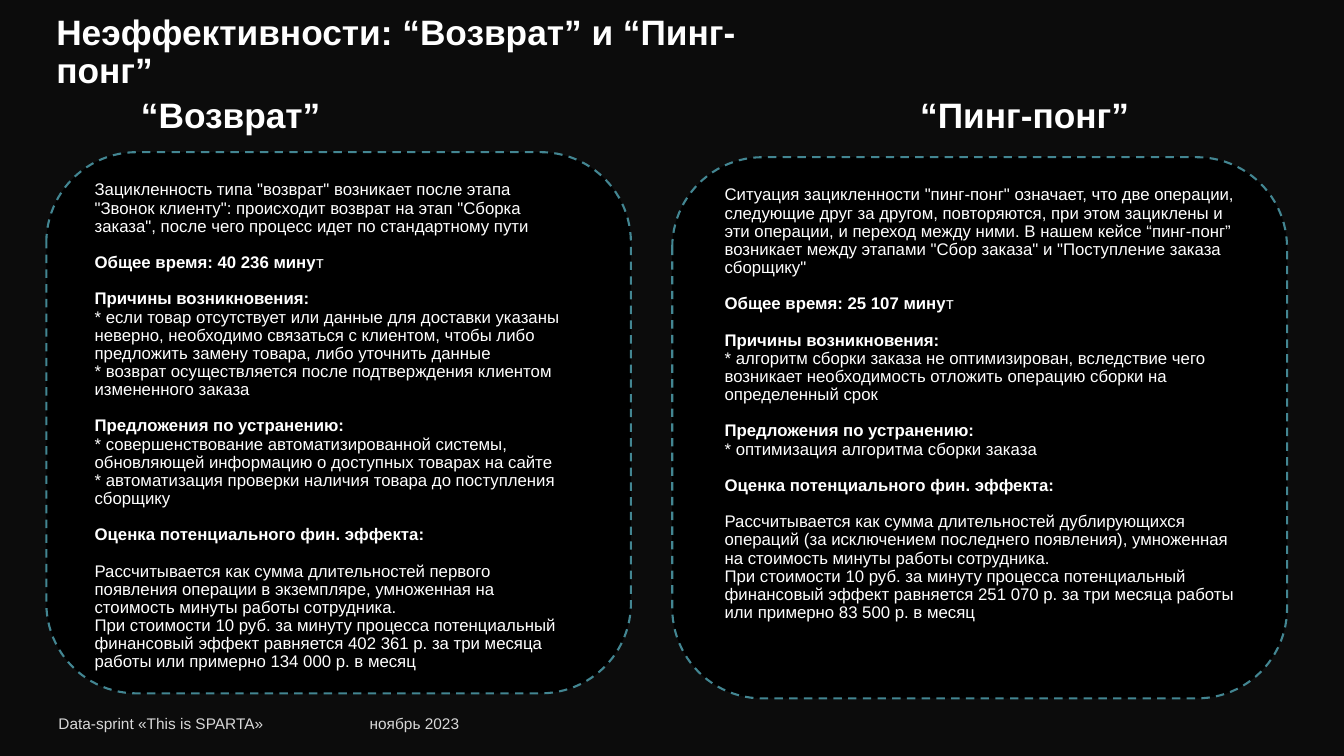
from pptx import Presentation
from pptx.dml.color import RGBColor
from pptx.enum.dml import MSO_LINE
from pptx.enum.shapes import MSO_SHAPE
from pptx.enum.text import MSO_ANCHOR
from pptx.util import Pt

NIGHT = RGBColor(0x0C, 0x0C, 0x0C)
BLACK = RGBColor(0, 0, 0)
WHITE = RGBColor(0xFF, 0xFF, 0xFF)
GREY = RGBColor(0xD8, 0xD8, 0xD8)
TEAL = RGBColor(0x43, 0x86, 0x92)
FONT = "Arial"
GAP = 13

RETURN = {
    "intro": 'Зацикленность типа "возврат" возникает после этапа "Звонок клиенту": '
             'происходит возврат на этап "Сборка заказа", после чего процесс идет '
             'по стандартному пути',
    "time": "40 236",
    "causes": [
        "* если товар отсутствует или данные для доставки указаны неверно, "
        "необходимо связаться с клиентом, чтобы либо предложить замену товара, "
        "либо уточнить данные",
        "* возврат осуществляется после подтверждения клиентом измененного заказа",
    ],
    "fixes": [
        "* совершенствование автоматизированной системы, обновляющей информацию "
        "о доступных товарах на сайте",
        "* автоматизация проверки наличия товара до поступления сборщику",
    ],
    "method": "Рассчитывается как сумма длительностей первого появления операции "
              "в экземпляре, умноженная на стоимость минуты работы сотрудника.",
    "total": "402 361",
    "month": "134 000",
}
PINGPONG = {
    "intro": 'Ситуация зацикленности "пинг-понг" означает, что две операции, '
             'следующие друг за другом, повторяются, при этом зациклены и эти '
             'операции, и переход между ними. В нашем кейсе “пинг-понг” возникает '
             'между этапами "Сбор заказа" и "Поступление заказа сборщику"',
    "time": "25 107",
    "causes": [
        "* алгоритм сборки заказа не оптимизирован, вследствие чего возникает "
        "необходимость отложить операцию сборки на определенный срок",
    ],
    "fixes": ["* оптимизация алгоритма сборки заказа"],
    "method": "Рассчитывается как сумма длительностей дублирующихся операций "
              "(за исключением последнего появления), умноженная на стоимость "
              "минуты работы сотрудника.",
    "total": "251 070",
    "month": "83 500",
}


def style(para, size, color=WHITE, bold=False):
    font = para.font
    font.name, font.size, font.bold = FONT, Pt(size), bold
    font.color.rgb = color


def add_frame(slide, left, top, width, height, inset=3.6):
    """Add a wrapping text box and return its text frame."""
    box = slide.shapes.add_textbox(Pt(left), Pt(top), Pt(width), Pt(height))
    frame = box.text_frame
    frame.word_wrap = True
    frame.margin_left = frame.margin_right = Pt(7.2)
    frame.margin_top = frame.margin_bottom = Pt(inset)
    return frame


def add_title(slide, text, left, top, width):
    frame = add_frame(slide, left, top, width, 23)
    frame.vertical_anchor = MSO_ANCHOR.MIDDLE
    para = frame.paragraphs[0]
    para.text = text
    para.line_spacing = 0.9
    style(para, 25.2, bold=True)


def add_footer(slide, text, left, width):
    para = add_frame(slide, left, 506.2, width, 21).paragraphs[0]
    para.text = text
    style(para, 11, GREY)


def add_panel(slide, left, top, width):
    panel = slide.shapes.add_shape(
        MSO_SHAPE.ROUNDED_RECTANGLE, Pt(left), Pt(top), Pt(width), Pt(386.6))
    panel.shadow.inherit = False
    panel.fill.solid()
    panel.fill.fore_color.rgb = BLACK
    panel.line.color.rgb = TEAL
    panel.line.width = Pt(1.5)
    panel.line.dash_style = MSO_LINE.DASH


def add_body(slide, case, left, top, width):
    frame = add_frame(slide, left, top, width, 367.2, 7.2)

    def add_line(text, bold=False, gap=GAP):
        para = frame.add_paragraph() if frame.text else frame.paragraphs[0]
        para.add_run().text = text
        para.line_spacing = 0.9
        para.space_before = Pt(gap)
        style(para, 12, bold=bold)
        return para

    add_line(case["intro"], gap=0)
    time = add_line(f"Общее время: {case['time']} мину", bold=True)
    tail = time.add_run()
    tail.text = "т"
    tail.font.bold = False
    for head, items in (("Причины возникновения:", case["causes"]),
                        ("Предложения по устранению:", case["fixes"])):
        add_line(head, bold=True)
        for item in items:
            add_line(item, gap=0)
    add_line("Оценка потенциального фин. эффекта:", bold=True)
    add_line(case["method"])
    add_line("При стоимости 10 руб. за минуту процесса потенциальный финансовый "
             f"эффект равняется {case['total']} р. за три месяца работы или "
             f"примерно {case['month']} р. в месяц", gap=0)


def main():
    deck = Presentation()
    deck.slide_width, deck.slide_height = Pt(960), Pt(540)
    slide = deck.slides.add_slide(deck.slide_layouts[6])
    slide.background.fill.solid()
    slide.background.fill.fore_color.rgb = NIGHT

    add_footer(slide, "Data-sprint «This is SPARTA»", 34.6, 169.2)
    add_footer(slide, "ноябрь 2023", 257, 81.4)
    add_panel(slide, 480.2, 112.3, 439.2)
    add_panel(slide, 33.1, 108.7, 417.6)
    add_title(slide, "Неэффективности: “Возврат” и “Пинг-понг”", 33.1, 26.6, 560.9)
    add_title(slide, "“Возврат”", 93.6, 72, 149.8)
    add_title(slide, "“Пинг-понг”", 650.2, 72, 183.6)
    add_body(slide, RETURN, 60.5, 122.4, 356.4)
    add_body(slide, PINGPONG, 510.5, 126, 389.5)
    deck.save("out.pptx")


if __name__ == "__main__":
    main()
